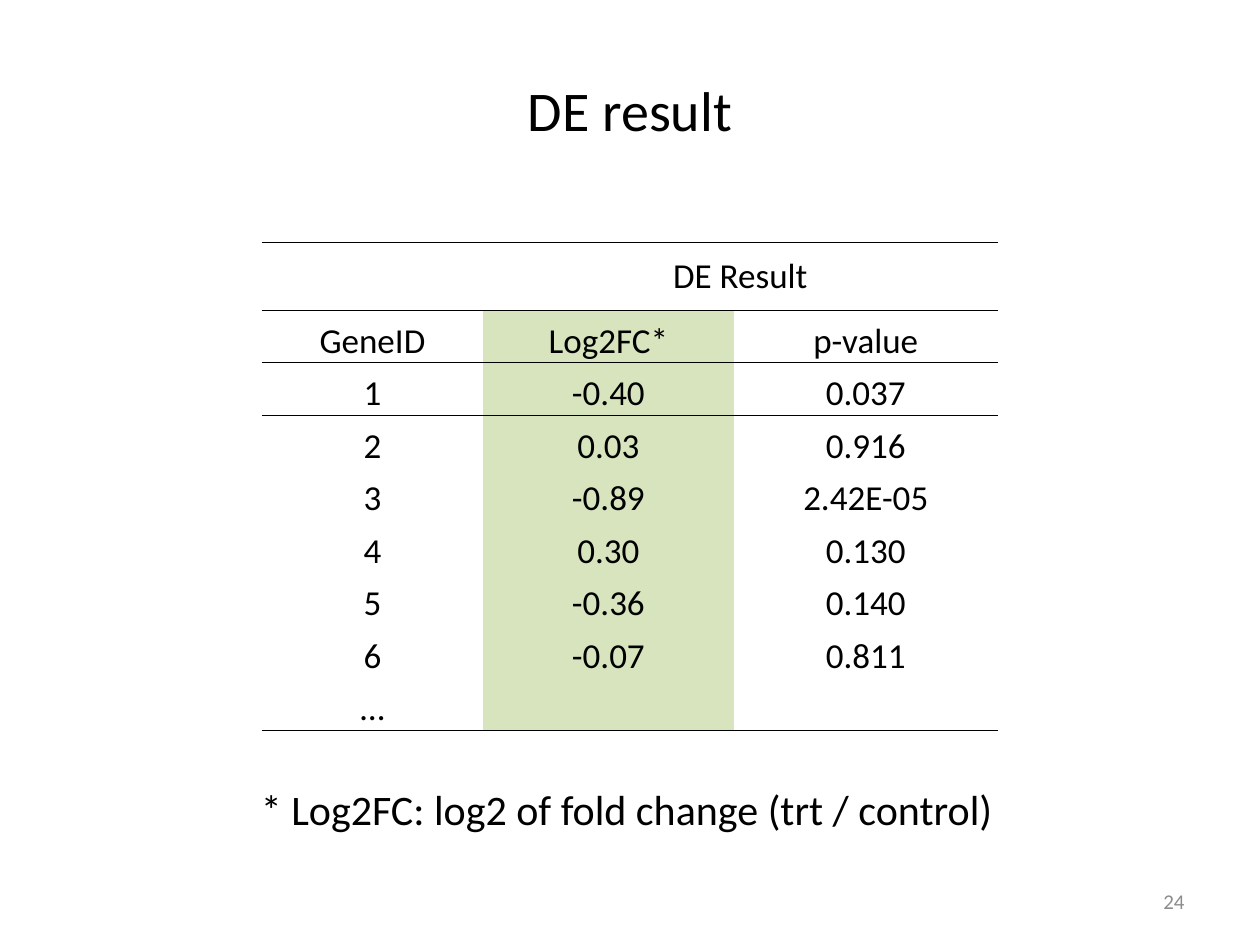
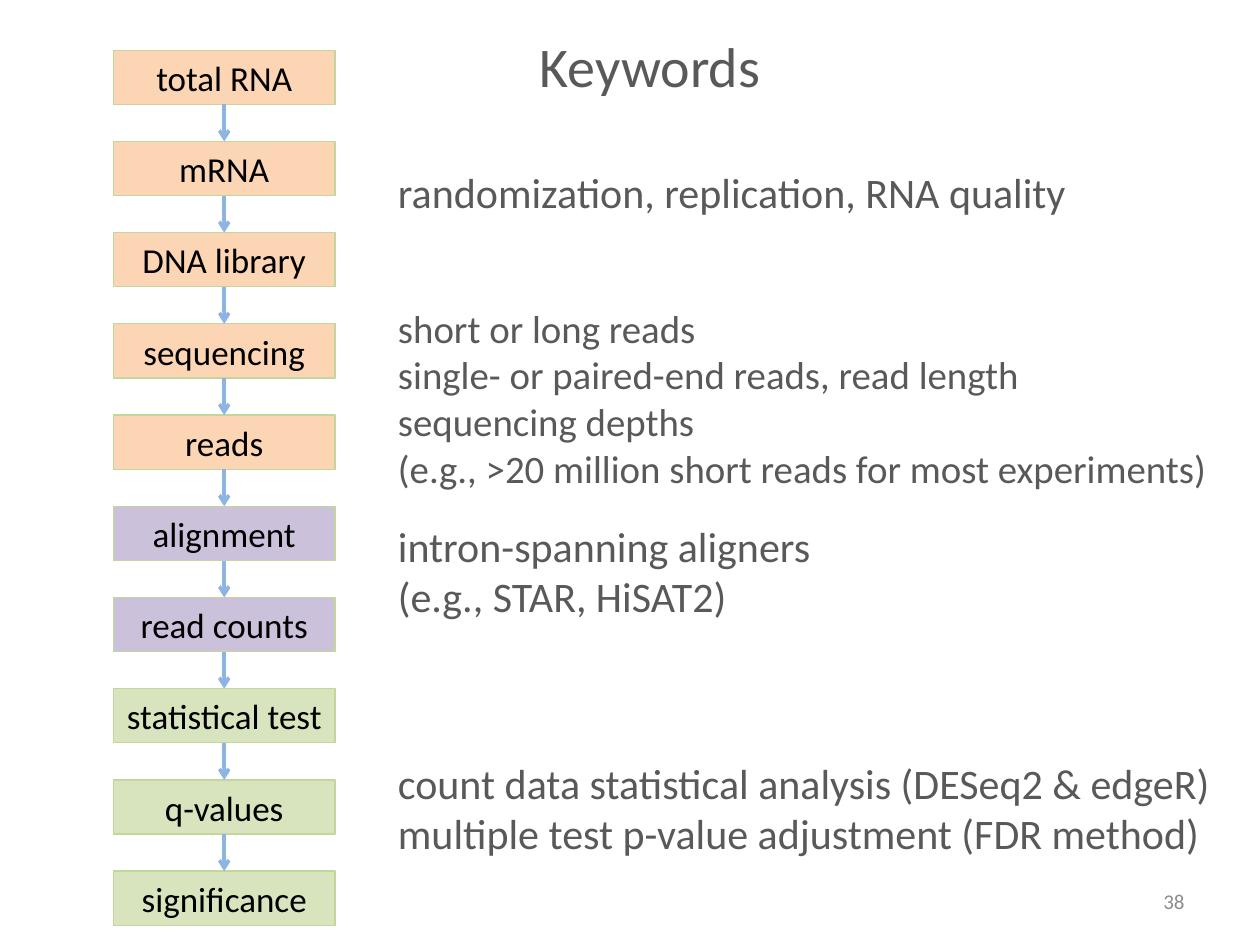
from lxml import etree
from pptx import Presentation, oxml
from pptx.dml.color import RGBColor
from pptx.enum import shapes, text
from pptx.oxml.ns import qn, nsdecls
from pptx.util import Pt

BLACK, GREY, NUMBER_GREY = "000000", "595959", "8C8C8C"
ORANGE, PURPLE, GREEN, BOX_EDGE, ARROW = "FCD5B5", "CCC1DA", "D7E4BD", "C3D69B", "8EB4E3"
LEFT, CENTER, RIGHT = text.PP_ALIGN.LEFT, text.PP_ALIGN.CENTER, text.PP_ALIGN.RIGHT
MIDDLE, BOTTOM = text.MSO_ANCHOR.MIDDLE, text.MSO_ANCHOR.BOTTOM
NO_STYLE = "{2D5ABB26-0587-4C30-8999-92F81FD0307C}"


def rgb(hex_code):
    return RGBColor.from_string(hex_code)


def write(frame, wording, size, color, align=LEFT):
    frame.text = wording
    frame.word_wrap = True
    for paragraph in frame.paragraphs:
        paragraph.alignment = align
        for run in paragraph.runs:
            run.font.name = "Calibri"
            run.font.size = Pt(size)
            run.font.color.rgb = rgb(color)


deck = Presentation()
deck.slide_width, deck.slide_height = Pt(720), Pt(540)

pages = [
    ("DE result", BLACK, (36, 33, 648, 59), "24",
     [("* Log2FC: log2 of fold change (trt / control)", 24, BLACK, (142, 444.2, 438.5, 36))]),
    ("Keywords", GREY, (254, 14.4, 235, 45.4), "38",
     [("randomization, replication, RNA quality", 24, GREY, (220.3, 87.1, 422, 45.4)),
      ("short or long reads\nsingle- or paired-end reads, read length\nsequencing depths\n"
       "(e.g., >20 million short reads for most experiments)", 22.2, GREY, (220.3, 165, 490.3, 124.6)),
      ("intron-spanning aligners\n(e.g., STAR, HiSAT2)", 24, GREY, (220.3, 289.5, 435, 73.4)),
      ("count data statistical analysis (DESeq2 & edgeR)\n"
       "multiple test p-value adjustment (FDR method)", 24, GREY, (220.3, 424.8, 490.3, 73.4))]),
]

slides = []
for heading, heading_color, heading_place, number, notes in pages:
    slide = deck.slides.add_slide(deck.slide_layouts[5])
    slides.append(slide)
    title = slide.shapes.title
    title.left, title.top, title.width, title.height = map(Pt, heading_place)
    write(title.text_frame, heading, 32, heading_color, CENTER)
    title.text_frame.vertical_anchor = MIDDLE
    captions = [(*note, LEFT) for note in notes]
    captions.append((number, 12, NUMBER_GREY, (516, 500.5, 168, 28.8), RIGHT))
    for wording, size, color, place, align in captions:
        caption = slide.shapes.add_textbox(*map(Pt, place)).text_frame
        write(caption, wording, size, color, align)
        caption.vertical_anchor = MIDDLE

results_slide, keywords_slide = slides

gene_rows = [
    ("", "DE Result", ""),
    ("GeneID", "Log2FC*", "p-value"),
    ("1", "-0.40", "0.037"),
    ("2", "0.03", "0.916"),
    ("3", "-0.89", "2.42E-05"),
    ("4", "0.30", "0.130"),
    ("5", "-0.36", "0.140"),
    ("6", "-0.07", "0.811"),
    ("…", "", ""),
]
rules_above, rules_below = {0, 1, 2}, {0, 1, 8}
genes = results_slide.shapes.add_table(9, 3, Pt(149.7), Pt(138.3), Pt(420.5), Pt(279)).table
genes.first_row = genes.horz_banding = False
genes._tbl.tblPr.find(qn("a:tableStyleId")).text = NO_STYLE
for column, width in zip(genes.columns, (126.3, 143.4, 150.8)):
    column.width = Pt(width)
for r, values in enumerate(gene_rows):
    genes.rows[r].height = Pt(30 if r else 39)
    for c, value in enumerate(values):
        cell = genes.cell(r, c)
        write(cell.text_frame, value, 20, BLACK, CENTER)
        if not value:
            cell.text_frame.paragraphs[0].font.size = Pt(20)
        cell.vertical_anchor = BOTTOM if r else MIDDLE
        cell.margin_left = cell.margin_right = cell.margin_top = Pt(0.7)
        cell.margin_bottom = 0
        if r and c == 1:
            cell.fill.solid()
            cell.fill.fore_color.rgb = rgb(GREEN)
        else:
            cell.fill.background()
        sides = [side for side, ruled in (("lnT", rules_above), ("lnB", rules_below)) if r in ruled]
        for position, side in enumerate(sides):
            cell._tc.get_or_add_tcPr().insert(position, oxml.parse_xml(
                f'<a:{side} {nsdecls("a")} w="6350"><a:solidFill><a:srgbClr val="{BLACK}"/>'
                f'</a:solidFill></a:{side}>'))
genes.cell(0, 1).merge(genes.cell(0, 2))

steps = [
    (ORANGE, ("total RNA", "mRNA", "DNA library", "sequencing", "reads")),
    (PURPLE, ("alignment", "read counts")),
    (GREEN, ("statistical test", "q-values", "significance")),
]
pipeline = [(step, color) for color, names in steps for step in names]
step_left, first_top, step_width, step_height, pitch = 64.8, 28.7, 126.7, 31, 52.12
for i, (step, color) in enumerate(pipeline):
    top = first_top + i * pitch
    box = keywords_slide.shapes.add_shape(
        shapes.MSO_SHAPE.RECTANGLE, Pt(step_left), Pt(top), Pt(step_width), Pt(step_height))
    box.shadow.inherit = False
    box.fill.solid()
    box.fill.fore_color.rgb = rgb(color)
    box.line.color.rgb = rgb(BOX_EDGE)
    box.line.width = Pt(0.75)
    label = box.text_frame
    label.margin_left = label.margin_right = label.margin_top = label.margin_bottom = 0
    label.vertical_anchor = MIDDLE
    write(label, step, 20, BLACK, CENTER)
    if i:
        middle = Pt(step_left + step_width / 2)
        arrow = keywords_slide.shapes.add_connector(
            shapes.MSO_CONNECTOR.STRAIGHT, middle, Pt(top - pitch + step_height), middle, Pt(top))
        arrow.line.color.rgb = rgb(ARROW)
        arrow.line.width = Pt(2)
        etree.SubElement(arrow.line._get_or_add_ln(), qn("a:tailEnd"), type="arrow")
        etree.SubElement(arrow._element.spPr, qn("a:effectLst"))

deck.save("out.pptx")
